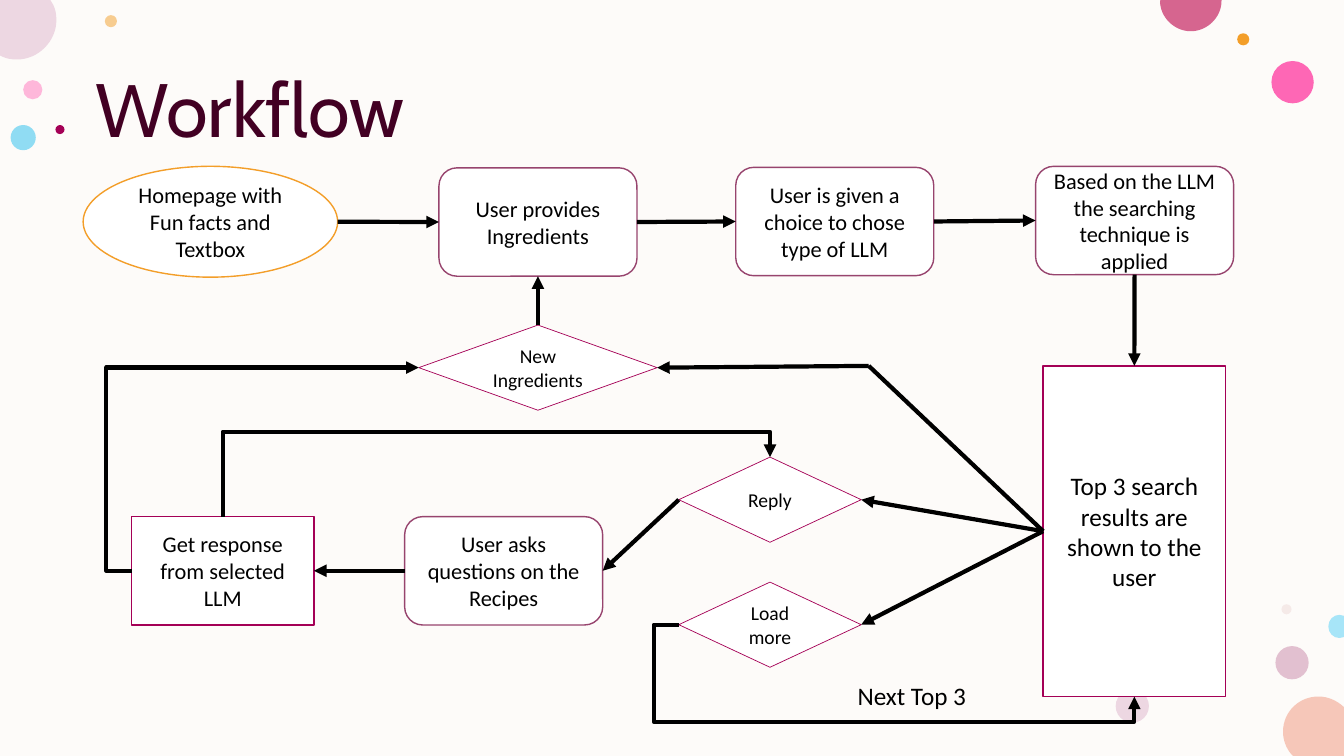
"""Build the Workflow flowchart slide."""
from lxml import etree
from pptx import Presentation
from pptx import util as u
from pptx.dml.color import RGBColor
from pptx.enum import shapes, text
from pptx.oxml.ns import qn

PX = 4572
SLIDE_WIDTH, SLIDE_HEIGHT = 2667, 1500
TOP, LEFT, BOTTOM, RIGHT = range(4)
KIND = shapes.MSO_SHAPE

CREAM = RGBColor(0xFD, 0xFB, 0xF9)
WHITE = RGBColor(0xFF, 0xFF, 0xFF)
BLACK = RGBColor(0x00, 0x00, 0x00)
PLUM = RGBColor(0x42, 0x00, 0x23)
MAGENTA = RGBColor(0xA4, 0x00, 0x56)
MAUVE = RGBColor(0x97, 0x44, 0x6E)
ORANGE = RGBColor(0xF3, 0x9E, 0x29)
PINK = RGBColor(0xFF, 0x75, 0xBD)
HOT_PINK = RGBColor(0xFF, 0x2F, 0x9C)
ROSE = RGBColor(0xD6, 0x65, 0x8F)
DUSTY = RGBColor(0xC9, 0x87, 0xA8)
BLUSH = RGBColor(0xE3, 0xBE, 0xBE)
LILAC = RGBColor(0xED, 0xD7, 0xE2)
PEACH = RGBColor(0xF6, 0xC7, 0xB9)
BLUE = RGBColor(0x24, 0xBE, 0xEE)
PALE_BLUE = RGBColor(0xA7, 0xE5, 0xF8)

DOTS = [
    (46, 159, 38, PINK, 50), (208, 30, 24, ORANGE, 50),
    (2531, 1282, 66, DUSTY, 50), (21, 248, 50, BLUE, 50),
    (2523, 121, 84, HOT_PINK, 72), (2455, 66, 24, ORANGE, 100),
    (2543, 1199, 20, BLUSH, 28), (2214, 1368, 66, LILAC, 100),
    (2172, 1358, 24, PEACH, 100), (110, 248, 18, MAGENTA, 100),
]
EDGE_DOTS = [
    (PEACH, "CLLLLCC", [
        (2616, 1382), (2636, 1382), (2652, 1390), (2666, 1402), (2667, 1404),
        (2667, 1500), (2566, 1500), (2562, 1496), (2552, 1484), (2546, 1468),
        (2546, 1452), (2546, 1412), (2578, 1382), (2616, 1382)]),
    (LILAC, "LLCCCL", [
        (0, 0), (100, 0), (106, 10), (110, 18), (112, 28), (112, 40), (112, 82),
        (76, 118), (34, 118), (22, 118), (12, 116), (4, 112), (0, 110)]),
    (ROSE, "LLCC", [
        (2303, 0), (2424, 0), (2424, 2), (2424, 34), (2396, 62), (2363, 62),
        (2330, 62), (2302, 34), (2302, 2)]),
    (PALE_BLUE, "LLLCC", [
        (2658, 1220), (2667, 1222), (2667, 1264), (2658, 1266), (2646, 1266),
        (2636, 1256), (2636, 1243), (2636, 1230), (2646, 1220), (2658, 1220)]),
]

STYLES = {
    "start": (KIND.OVAL, ORANGE, 1, 16),
    "step": (KIND.ROUNDED_RECTANGLE, MAUVE, 1, 16),
    "response": (KIND.RECTANGLE, MAGENTA, 1, 16),
    "results": (KIND.RECTANGLE, MAGENTA, 1, 18),
    "decision": (KIND.FLOWCHART_DECISION, MAGENTA, 0.5, 14),
}
NODES = {
    "home": ("start", (165, 330, 505, 220), "Homepage with Fun facts and Textbox"),
    "results": ("results", (2070, 726, 362, 656), "Top 3 search results are shown to the user"),
    "ingredients": ("step", (871, 333, 393, 215), "User provides Ingredients"),
    "choice": ("step", (1460, 332, 393, 215), "User is given a choice to chose type of LLM"),
    "search": ("step", (2055, 330, 393, 215), "Based on the LLM the searching technique is applied"),
    "reply": ("decision", (1347, 907, 362, 169), "Reply"),
    "more": ("decision", (1347, 1155, 362, 169), "Load more"),
    "questions": ("step", (803, 1025, 393, 215), "User asks questions on the Recipes"),
    "response": ("response", (261, 1025, 362, 215), "Get response from selected LLM"),
    "new": ("decision", (831, 645, 473, 169), "New Ingredients"),
}
BEND = (1724, 726)
ARROWS = [
    ((670, 440), ("ingredients", LEFT)),
    (("ingredients", RIGHT), ("choice", LEFT)),
    (("choice", RIGHT), ("search", LEFT)),
    (("search", BOTTOM), ("results", TOP)),
    (("results", LEFT), ("reply", RIGHT)),
    (("results", LEFT), ("more", RIGHT)),
    (("questions", LEFT), ("response", RIGHT)),
    (("reply", LEFT), ("questions", RIGHT)),
    (BEND, ("new", RIGHT)),
    (("new", TOP), ("ingredients", BOTTOM)),
]
ELBOWS = [
    (("more", LEFT), ("results", BOTTOM), "bentConnector4", (-5500, 135000), False),
    (("response", TOP), ("reply", TOP), "bentConnector3", (142500,), True),
    (("response", LEFT), ("new", LEFT), "bentConnector3", (-8800,), False),
]


def px(*lengths):
    """Turn pixel lengths into EMU."""
    return [u.Emu(length * PX) for length in lengths]


def apply_format(target, values):
    """Set each named attribute on the target."""
    for name, value in values.items():
        setattr(target, name, value)


def write(frame, wording, size, align, color=BLACK, font="Calibri"):
    """Write one formatted paragraph into a text frame."""
    paragraph = frame.paragraphs[0]
    paragraph.alignment = align
    run = paragraph.add_run()
    run.text = wording
    apply_format(run.font, {"size": u.Pt(size), "name": font, "bold": False})
    run.font.color.rgb = color
    return paragraph


def paint(shape, color, opacity=100):
    """Give a shape a plain fill without line or shadow."""
    shape.shadow.inherit = False
    shape.fill.solid()
    shape.fill.fore_color.rgb = color
    shape.line.fill.background()
    if opacity < 100:
        tint = shape.fill._xPr.find(".//" + qn("a:srgbClr"))
        etree.SubElement(tint, qn("a:alpha"), val=str(opacity * 1000))


def add_edge_dot(slide, color, segments, points):
    """Draw a dot cut by the slide edge, with L for lines and C for curves."""
    builder = slide.shapes.build_freeform(*points[0], scale=PX)
    builder.add_line_segments(points[1:], close=True)
    dot = builder.convert_to_shape()
    paint(dot, color)
    lines = iter(list(dot._element.iter(qn("a:lnTo"))))
    for segment in segments:
        line = next(lines)
        if segment == "C":
            line.tag = qn("a:cubicBezTo")
            for extra in (next(lines), next(lines)):
                line.append(extra[0])
                extra.getparent().remove(extra)


def add_decoration(slide, box):
    """Cover the box with the backdrop and scatter the dots."""
    paint(slide.shapes.add_shape(KIND.RECTANGLE, *px(*box)), CREAM)
    for left, top, size, color, opacity in DOTS:
        dot = slide.shapes.add_shape(KIND.OVAL, *px(left, top, size, size))
        paint(dot, color, opacity)
    for edge_dot in EDGE_DOTS:
        add_edge_dot(slide, *edge_dot)


def add_title(slide, box):
    """Place and format the title in front of the backdrop."""
    title = slide.shapes.title
    slide.shapes._spTree.append(title._element)
    apply_format(title, dict(zip(("left", "top", "width", "height"), px(*box))))
    apply_format(title.text_frame, {
        "vertical_anchor": text.MSO_ANCHOR.MIDDLE,
        "auto_size": text.MSO_AUTO_SIZE.NONE, "word_wrap": True})
    paragraph = write(title.text_frame, "Workflow", 54, text.PP_ALIGN.LEFT, PLUM, "Cabin")
    paragraph.line_spacing = 0.9


def add_node(slide, style, box, wording):
    """Draw one labelled flowchart node in its box."""
    kind, color, width, size = STYLES[style]
    node = slide.shapes.add_shape(kind, *px(*box))
    paint(node, WHITE)
    node.line.color.rgb = color
    node.line.width = u.Pt(width)
    node.text_frame.vertical_anchor = text.MSO_ANCHOR.MIDDLE
    write(node.text_frame, wording, size, text.PP_ALIGN.CENTER)
    return node


def add_link(slide, nodes, begin, end, kind=shapes.MSO_CONNECTOR.STRAIGHT, arrow=True):
    """Link two ends, each a free point or a named node and its side."""
    points = [(0, 0) if place[0] in nodes else place for place in (begin, end)]
    link = slide.shapes.add_connector(kind, *px(*points[0], *points[1]))
    for place, connect in ((begin, link.begin_connect), (end, link.end_connect)):
        if place[0] in nodes:
            connect(nodes[place[0]], place[1])
    link.line.color.rgb = BLACK
    link.line.width = u.Pt(3)
    if arrow:
        etree.SubElement(link.line._get_or_add_ln(), qn("a:tailEnd"), type="triangle")
    etree.SubElement(link._element.spPr, qn("a:effectLst"))
    return link


def add_elbow(slide, nodes, begin, end, preset, bends, upright):
    """Link two nodes by an elbow, turned a quarter if it leaves upright."""
    link = add_link(slide, nodes, begin, end, shapes.MSO_CONNECTOR.ELBOW)
    properties = link._element.spPr
    geometry = properties.find(qn("a:prstGeom"))
    geometry.set("prst", preset)
    guides = geometry.find(qn("a:avLst"))
    for number, bend in enumerate(bends, 1):
        etree.SubElement(guides, qn("a:gd"), name=f"adj{number}", fmla=f"val {bend}")
    if upright:
        left, top, width, height = link.left, link.top, link.width, link.height
        shift = (width - height) // 2
        apply_format(link, {"left": left + shift, "top": top - shift,
                            "width": height, "height": width})
        for name, value in {"rot": "5400000", "flipH": "1", "flipV": "1"}.items():
            properties.find(qn("a:xfrm")).set(name, value)


def add_flowchart(slide):
    """Draw the nodes, their links and the loop label."""
    nodes = {name: add_node(slide, *node) for name, node in NODES.items()}
    for begin, end in ARROWS:
        add_link(slide, nodes, begin, end)
    add_link(slide, nodes, ("results", LEFT), BEND, arrow=False)
    for elbow in ELBOWS:
        add_elbow(slide, nodes, *elbow)
    label = slide.shapes.add_textbox(*px(1682, 1340, 258, 80))
    apply_format(label.text_frame, {
        "word_wrap": False, "auto_size": text.MSO_AUTO_SIZE.SHAPE_TO_FIT_TEXT})
    write(label.text_frame, "Next Top 3", 18, text.PP_ALIGN.LEFT)


presentation = Presentation()
presentation.slide_width, presentation.slide_height = px(SLIDE_WIDTH, SLIDE_HEIGHT)
workflow = presentation.slides.add_slide(presentation.slide_layouts[5])
add_decoration(workflow, (0, 0, SLIDE_WIDTH, SLIDE_HEIGHT))
add_title(workflow, (170, 80, 2332, 290))
add_flowchart(workflow)
presentation.save("out.pptx")
